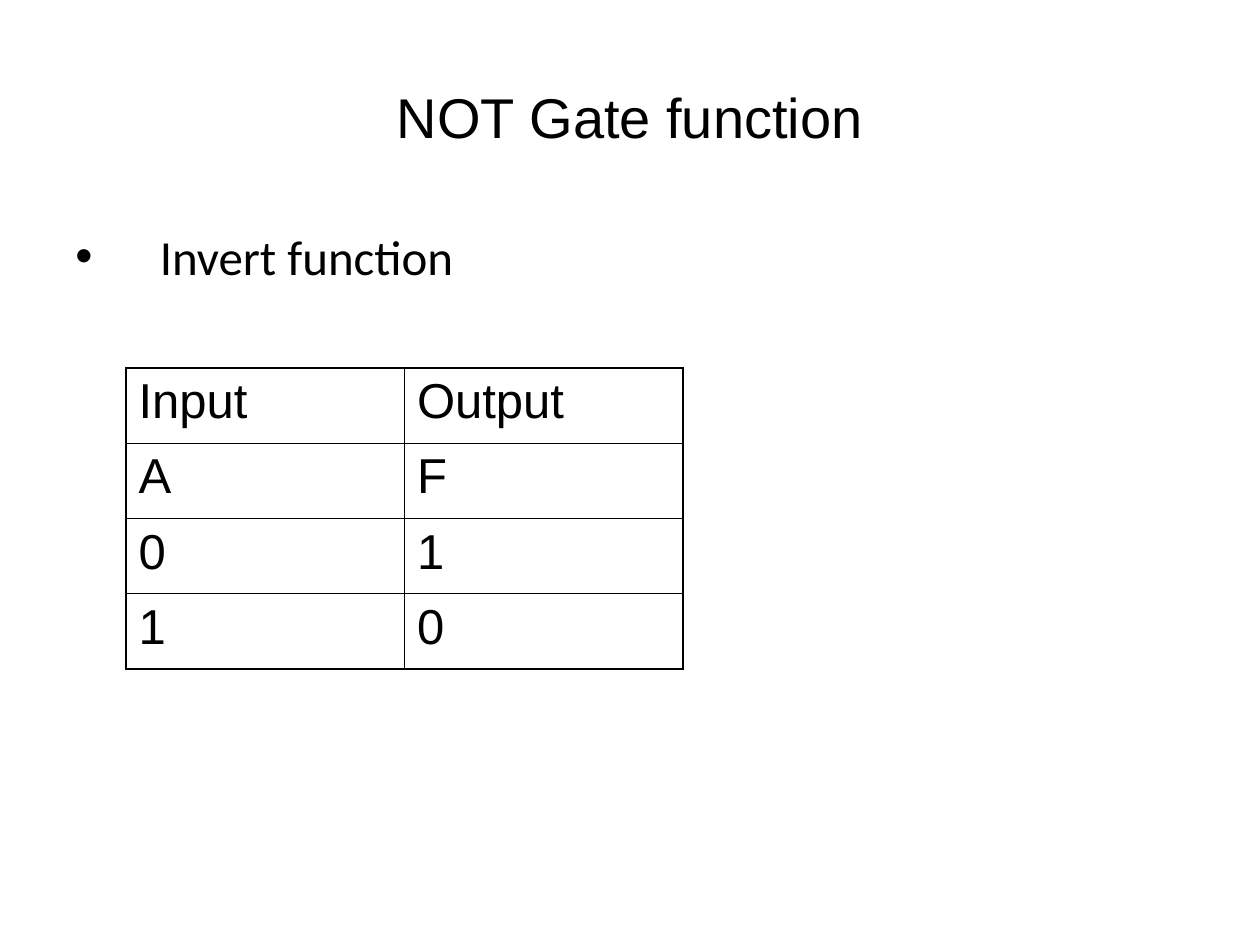
from lxml import etree
from pptx import Presentation
from pptx import util as u
from pptx.dml.color import RGBColor
from pptx.enum import text
from pptx.oxml import ns

COLORS = {"ink": "000000", "paper": "FFFFFF"}
COLUMN, ROW = 0.5, 0.25  # grid steps in inches
THICK, THIN = 1.08, 0.45  # border widths in points
TITLE = {"size": u.Pt(32), "name": "Arial"}
BODY = {"size": u.Pt(28), "name": "Calibri"}
CELL = {"size": u.Pt(28), "name": "Arial"}
SPACED = {"space_before": u.Pt(7)}


def assign(target, values):
    """Set each named attribute of the target."""
    for name, value in values.items():
        setattr(target, name, value)


def add_element(parent, tag, **attributes):
    """Append a DrawingML element to the parent and return it."""
    return etree.SubElement(parent, ns.qn(f"a:{tag}"), attributes)


class Board:
    """Hold the deck, its current page and the drawing style."""

    def __init__(self, width, height):
        """Start a deck with one blank page."""
        self.deck = Presentation()
        assign(self.deck, {"slide_width": u.Inches(width),
                           "slide_height": u.Inches(height)})
        self.page = self.deck.slides.add_slide(self.deck.slide_layouts[6])
        fill = self.page.background.fill
        fill.solid()
        fill.fore_color.rgb = RGBColor.from_string(COLORS["paper"])

    def place(self, column, row, columns, rows):
        """Turn a grid area into left, top, width and height."""
        return [u.Inches(share * step) for share, step in
                zip((column, row, columns, rows), (COLUMN, ROW) * 2)]

    def set_wording(self, frame, wording, font, layout):
        """Fill the first paragraph of a frame with styled wording."""
        para = frame.paragraphs[0]
        assign(para, layout)
        span = para.add_run()
        span.text = wording
        assign(span.font, font)
        span.font.color.rgb = RGBColor.from_string(COLORS["ink"])
        return para

    def text_box(self, area, wording, font, layout, anchor):
        """Add a wrapping text box and return its paragraph."""
        frame = self.page.shapes.add_textbox(*self.place(*area)).text_frame
        assign(frame, {"word_wrap": True, "vertical_anchor": anchor})
        return self.set_wording(frame, wording, font, layout)

    def bullet(self, area, wording, font, indent):
        """Add a text box with a bulleted, hanging paragraph."""
        para = self.text_box(area, wording, font, SPACED,
                             text.MSO_ANCHOR.TOP)
        properties = para._p.get_or_add_pPr()
        properties.set("marL", str(u.Inches(indent)))
        properties.set("indent", str(-u.Inches(indent)))
        color = add_element(properties, "buClr")
        add_element(color, "srgbClr", val=COLORS["ink"])
        add_element(properties, "buFont", typeface="Arial")
        add_element(properties, "buChar", char="•")

    def border(self, cell, widths):
        """Draw the left, right, top and bottom borders of a cell."""
        properties = cell._tc.get_or_add_tcPr()
        for index, (side, width) in enumerate(zip("LRTB", widths)):
            line = add_element(properties, f"ln{side}", w=str(u.Pt(width)))
            fill = add_element(line, "solidFill")
            add_element(fill, "srgbClr", val=COLORS["ink"])
            properties.insert(index, line)

    def table(self, area, records, font):
        """Add a plain ruled table with a thicker outline."""
        size = len(records), len(records[0])
        grid = self.page.shapes.add_table(*size, *self.place(*area)).table
        assign(grid, {"first_row": False, "horz_banding": False})
        for r, record in enumerate(records):
            top = THIN if r else THICK
            bottom = THIN if r < len(records) - 1 else THICK
            for c, wording in enumerate(record):
                cell = grid.cell(r, c)
                cell.fill.background()
                self.set_wording(cell.text_frame, wording, font, SPACED)
                self.border(cell, (THICK, THICK, top, bottom))


board = Board(10, 7.5)
board.text_box((1, 1.2, 18, 5), "NOT Gate function", TITLE,
               {"alignment": text.PP_ALIGN.CENTER}, text.MSO_ANCHOR.MIDDLE)
board.bullet((1, 7, 18, 4), "Invert function", BODY, 0.67)
board.table((2, 11.68, 8.84, 9.56),
            [("Input", "Output"), ("A", "F"), ("0", "1"), ("1", "0")], CELL)
board.deck.save("out.pptx")
